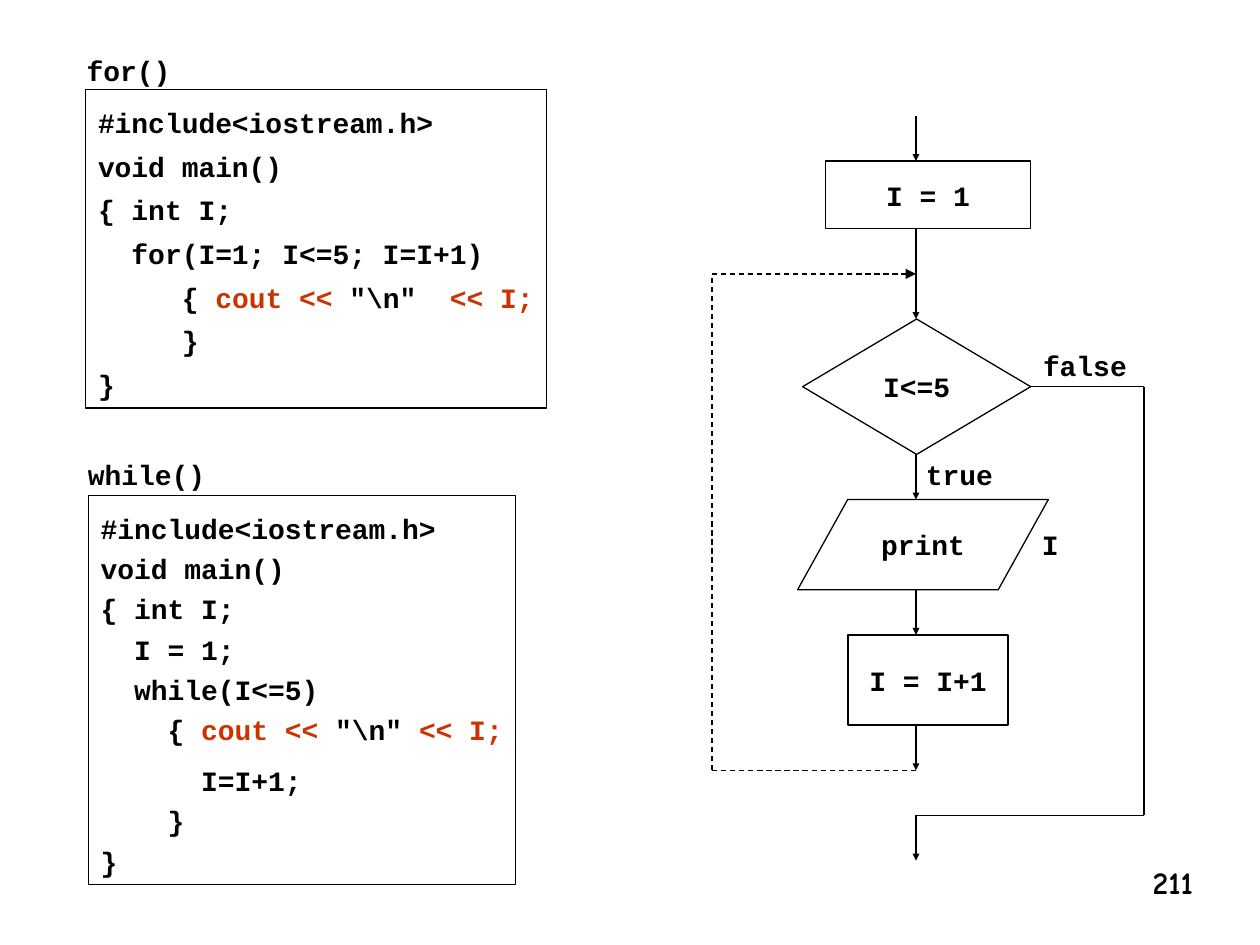
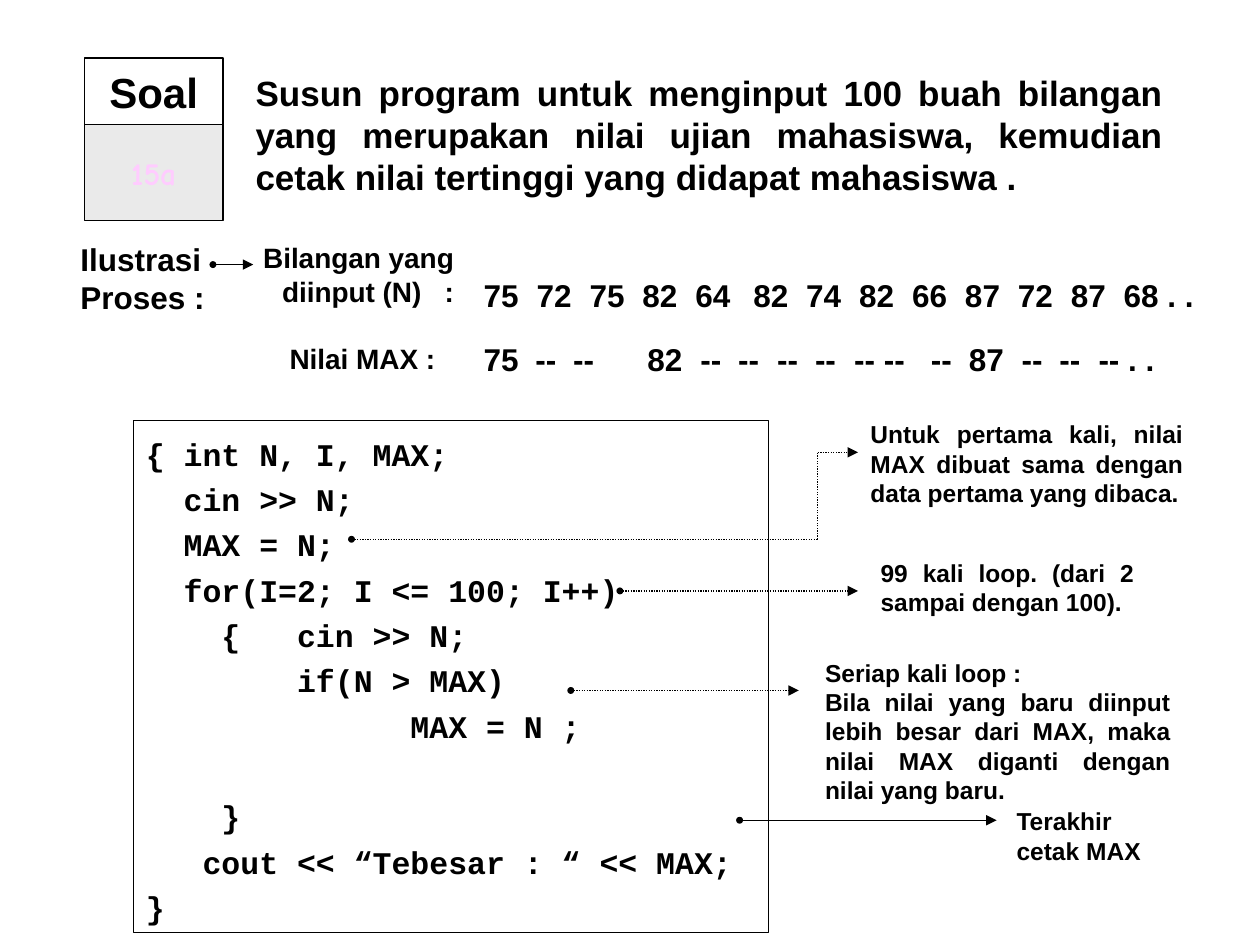
"""Build two lecture slides on loops: for/while with a flowchart, and a maximum-value exercise."""
from lxml import etree
from pptx import Presentation
from pptx import util as u
from pptx.dml.color import RGBColor
from pptx.enum import dml, shapes, text
from pptx.oxml.ns import qn

COLOURS = {"ink": "000000", "accent": "CC3300", "panel": "EAEAEA", "number": "FFCCFF"}
CODE, BODY, COMIC = "Courier New", "Arial", "Comic Neue"
COLUMNS, ROWS = 10, 7.5
CELL = u.Inches(1)
LEFT, CENTRE, JUSTIFY = text.PP_ALIGN.LEFT, text.PP_ALIGN.CENTER, text.PP_ALIGN.JUSTIFY
RECTANGLE = shapes.MSO_SHAPE.RECTANGLE
DASH, DOT = dml.MSO_LINE.DASH, dml.MSO_LINE.ROUND_DOT


def write(page, lines, place, kind=None, font=BODY, size=16, colour="ink", align=LEFT,
          wrap=False, middle=False, spacing=None, gaps=None, tabs=None, fill=None):
    """Place lines of bold text, plain or in an outlined shape; a bar toggles the accent colour."""
    area = [round(length * CELL) for length in place]
    if kind is None:
        box = page.shapes.add_textbox(*area)
    else:
        box = page.shapes.add_shape(kind, *area)
        box.shadow.inherit = False
        box.line.color.rgb = RGBColor.from_string(COLOURS["ink"])
        box.line.width = u.Pt(0.75)
        if fill:
            box.fill.solid()
            box.fill.fore_color.rgb = RGBColor.from_string(COLOURS[fill])
        else:
            box.fill.background()
    frame = box.text_frame
    frame.word_wrap = wrap
    frame.vertical_anchor = text.MSO_ANCHOR.MIDDLE if middle else text.MSO_ANCHOR.TOP
    for index, line in enumerate(lines):
        para = frame.paragraphs[0] if index == 0 else frame.add_paragraph()
        para.alignment = align
        if spacing:
            para.line_spacing = spacing[min(index, len(spacing) - 1)]
        if gaps and index in gaps:
            para.space_before = u.Pt(gaps[index])
        if tabs and tabs[index]:
            stops = etree.SubElement(para._p.get_or_add_pPr(), qn("a:tabLst"))
            for stop in tabs[index]:
                etree.SubElement(stops, qn("a:tab"), pos=str(round(stop * CELL)), algn="l")
        for order, part in enumerate(line.split("|")):
            if part:
                span = para.add_run()
                span.text = part
                span.font.name, span.font.size, span.font.bold = font, u.Pt(size), True
                shade = "accent" if order % 2 else colour
                span.font.color.rgb = RGBColor.from_string(COLOURS[shade])


def connect(page, points, width=0.75, dash=None, head=None, tail=None, tail_size="med"):
    """Draw straight lines through the points, with ends on the first and last."""
    last = len(points) - 2
    for index, (start, end) in enumerate(zip(points, points[1:])):
        line = page.shapes.add_connector(
            shapes.MSO_CONNECTOR.STRAIGHT, *[round(length * CELL) for length in start + end])
        line.line.color.rgb = RGBColor.from_string(COLOURS["ink"])
        line.line.width = u.Pt(width)
        if dash:
            line.line.dash_style = dash
        properties = line._element.spPr
        outline = properties.find(qn("a:ln"))
        if head and index == 0:
            etree.SubElement(outline, qn("a:headEnd"), type=head, w="sm", len="sm")
        if tail and index == last:
            etree.SubElement(outline, qn("a:tailEnd"), type=tail, w=tail_size, len=tail_size)
        etree.SubElement(properties, qn("a:effectLst"))


deck = Presentation()
deck.slide_width, deck.slide_height = round(COLUMNS * CELL), round(ROWS * CELL)
blank = deck.slide_layouts[6]

loops = deck.slides.add_slide(blank)
for_code = [
    "#include<iostream.h>",
    "void main()",
    "{ int I;",
    "  for(I=1; I<=5; I=I+1)",
    r'     { |cout << |"\n"  |<< I;',
    "     }",
    "}",
]
while_code = [
    "#include<iostream.h>",
    "void main()",
    "{ int I;",
    "  I = 1;",
    "  while(I<=5)",
    r'    { |cout << |"\n" |<< I;',
    "      I=I+1;",
    "    }",
    "}",
]
write(loops, for_code, (0.68, 0.71, 3.66, 2.53), kind=RECTANGLE, font=CODE, spacing=[1.3])
write(loops, while_code, (0.7, 3.93, 3.39, 3.09), kind=RECTANGLE, font=CODE,
      spacing=[1.3, 1.2], gaps={6: 6})

AXIS, TOP, BOTTOM, HALF_STEPS = 7.27, 0.92, 6.83, 33
level = [TOP + (BOTTOM - TOP) * half / HALF_STEPS for half in range(HALF_STEPS + 1)]
flow_steps = [
    ("I = 1", RECTANGLE, 6.55, 1.63, 2, 5),
    ("I<=5", shapes.MSO_SHAPE.FLOWCHART_DECISION, 6.37, 1.81, 9, 15),
    ("print", shapes.MSO_SHAPE.FLOWCHART_DATA, 6.33, 1.99, 17, 21),
    ("I = I+1", RECTANGLE, 6.73, 1.27, 23, 27),
]
for label, kind, left, width, top, bottom in flow_steps:
    write(loops, [label], (left, level[top], width, level[bottom] - level[top]),
          kind=kind, font=CODE, align=CENTRE, middle=True)
for top, bottom in [(0, 2), (5, 9), (15, 17), (21, 23), (27, 29), (31, 33)]:
    connect(loops, [(AXIS, level[top]), (AXIS, level[bottom])], width=1, tail="triangle",
            tail_size="sm")
connect(loops, [(AXIS, level[29]), (5.65, level[29]), (5.65, level[7]), (AXIS, level[7])],
        dash=DASH, tail="triangle")
connect(loops, [(8.18, level[12]), (9.08, level[12]), (9.08, level[31]), (AXIS, level[31])])

for label, left, top, width in [
    ("for()", 0.59, 0.38, 1),
    ("while()", 0.6, 3.58, 1.3),
    ("I", 8.17, 4.14, 0.4),
    ("false", 8.18, 2.72, 1),
    ("true", 7.25, 3.58, 0.93),
]:
    write(loops, [label], (left, top, width, 0.37), font=CODE, wrap=True)
write(loops, ["211"], (9.05, 6.8, 0.6, 0.4), font=COMIC, size=18, wrap=True)

exercise = deck.slides.add_slide(blank)
write(exercise, ["Soal"], (0.67, 0.46, 1.1, 0.53), kind=RECTANGLE, size=24,
      align=CENTRE, middle=True)
write(exercise, ["15a"], (0.67, 0.99, 1.1, 0.76), kind=RECTANGLE, font=COMIC, size=18,
      colour="number", align=CENTRE, middle=True, fill="panel")
write(exercise, ["Susun program untuk menginput 100 buah bilangan yang merupakan nilai ujian "
                 "mahasiswa, kemudian cetak nilai tertinggi yang didapat mahasiswa ."],
      (1.93, 0.52, 7.4, 1.1), size=20, align=JUSTIFY, wrap=True)

write(exercise, ["Ilustrasi", "Proses :"], (0.54, 1.86, 1.35, 0.7), size=18, wrap=True)
write(exercise, ["Bilangan yang", "\tdiinput (N)\t:"], (1.99, 1.86, 1.75, 0.64),
      wrap=True, tabs=[None, (0.15, 1.44)])
write(exercise, ["Nilai MAX :"], (2.2, 2.66, 1.5, 0.37), wrap=True)
scores = "75 72 75 82 64 82 74 82 66 87 72 87".split() + ["68 . ."]
maxima = "75 -- -- 82 -- -- -- --".split() + ["-- --"] + "-- 87 -- --".split() + ["-- . ."]
score_stops = [0.42 * place + (0.04 if place > 4 else 0) for place in range(1, len(scores))]
maxima_stops = [0.41, 0.71, 1.3, 1.72, 2.02, 2.33, 2.63, 2.94, 3.55, 3.85, 4.27, 4.57, 4.88]
write(exercise, ["\t".join(scores), "\t".join(maxima)], (3.74, 2.14, 5.95, 0.91), size=18,
      wrap=True, gaps={1: 15}, tabs=[score_stops, maxima_stops])

maximum_code = [
    "{ int N, I, MAX;",
    "  cin >> N;",
    "  MAX = N;",
    "  for(I=2; I <= 100; I++)",
    "    {   cin >> N;",
    "        if(N > MAX)",
    "              MAX = N ;",
    "    }",
    "   cout << “Tebesar : “ << MAX;",
    "}",
]
write(exercise, maximum_code, (1.06, 3.34, 5.04, 4.06), kind=RECTANGLE, font=CODE, size=18,
      wrap=True, spacing=[1.2], gaps={7: 26})

notes = [
    (["Untuk pertama kali, nilai MAX dibuat sama dengan data pertama yang dibaca."],
     (6.81, 3.28, 2.68, 0.8)),
    (["99 kali loop. (dari 2 sampai dengan 100)."], (6.89, 4.38, 2.21, 0.57)),
    (["Seriap kali loop :", "Bila nilai yang baru diinput lebih besar dari MAX, maka nilai MAX "
      "diganti dengan nilai yang baru."], (6.45, 5.17, 2.94, 1.27)),
]
for lines, place in notes:
    write(exercise, lines, place, size=14, align=JUSTIFY, wrap=True)
write(exercise, ["Terakhir", "cetak MAX"], (7.97, 6.35, 1.4, 0.57), size=14, wrap=True)

for points, dash in [
    ([(1.69, 2.1), (2.01, 2.1)], None),
    ([(2.79, 4.28), (6.49, 4.28), (6.49, 3.59), (6.81, 3.59)], DOT),
    ([(4.92, 4.69), (6.81, 4.69)], DOT),
    ([(4.53, 5.48), (6.34, 5.48)], DOT),
    ([(5.87, 6.51), (7.91, 6.51)], None),
]:
    connect(exercise, points, dash=dash, head="oval", tail="triangle")

deck.save("out.pptx")
